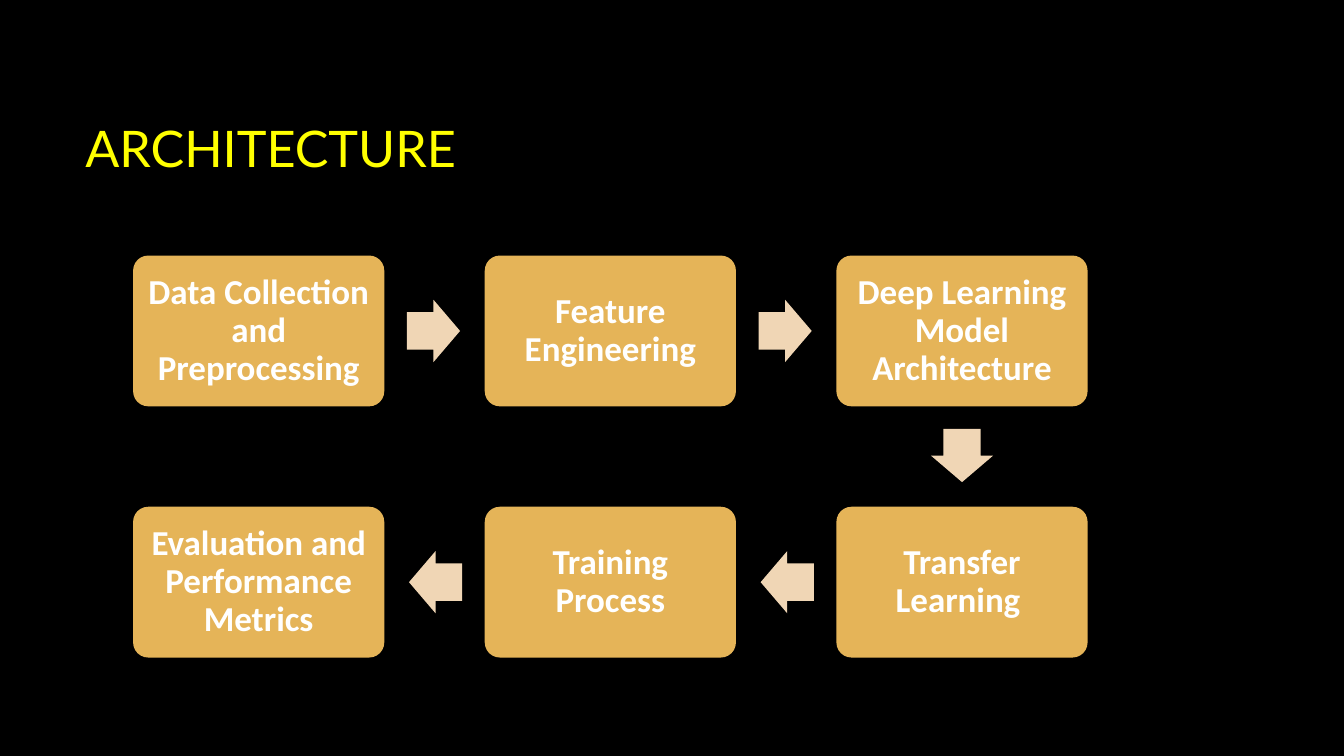
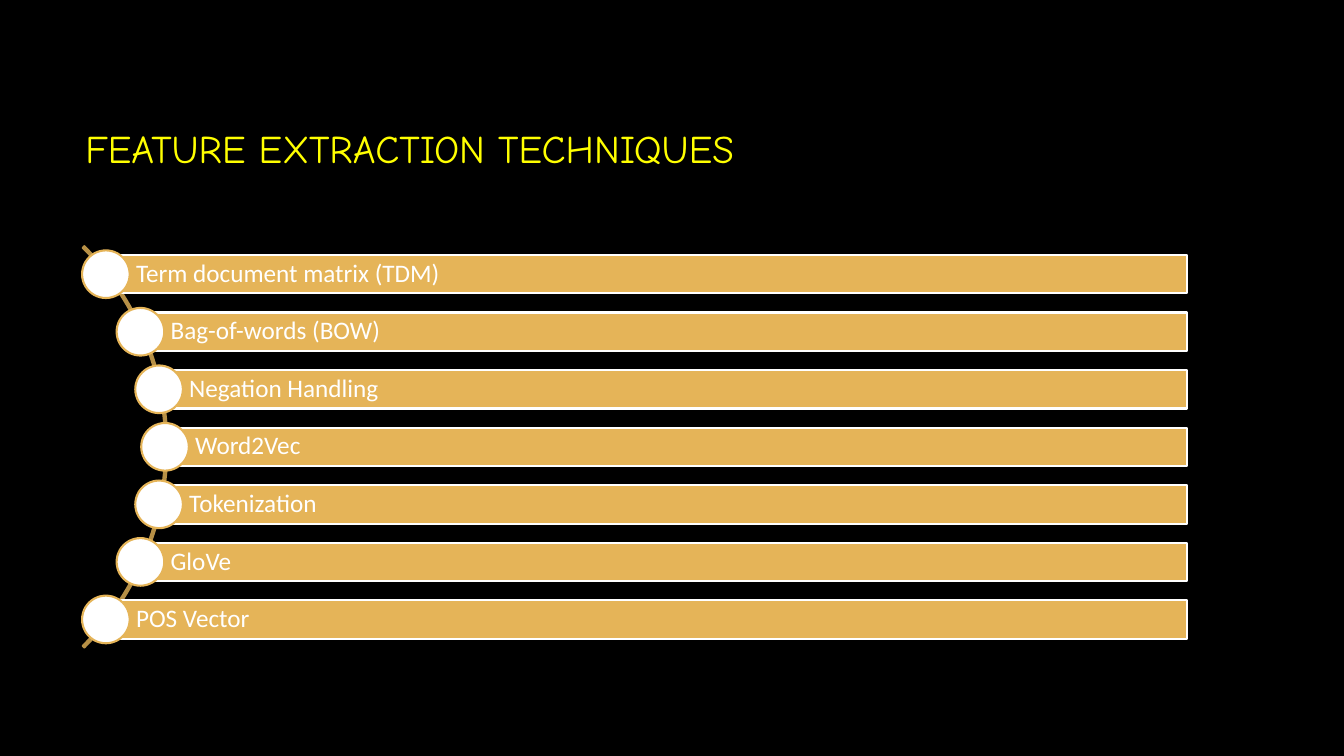
from math import sqrt

from pptx import Presentation
from pptx.dml.color import RGBColor
from pptx.enum.shapes import MSO_SHAPE
from pptx.enum.text import MSO_ANCHOR, PP_ALIGN
from pptx.util import Cm, Pt

BLACK = RGBColor(0x00, 0x00, 0x00)
WHITE = RGBColor(0xFF, 0xFF, 0xFF)
YELLOW = RGBColor(0xFF, 0xFF, 0x00)
GOLD = RGBColor(0xE5, 0xB4, 0x58)
DARK_GOLD = RGBColor(0xB7, 0x90, 0x46)
SAND = RGBColor(0xF0, 0xD6, 0xB5)

RECT = MSO_SHAPE.RECTANGLE
ROUND_RECT = MSO_SHAPE.ROUNDED_RECTANGLE
ARROW = MSO_SHAPE.RIGHT_ARROW
OVAL = MSO_SHAPE.OVAL
ARC = MSO_SHAPE.BLOCK_ARC
LEFT = PP_ALIGN.LEFT
CENTER = PP_ALIGN.CENTER
MIDDLE = MSO_ANCHOR.MIDDLE

STEPS = [
    ("Data Collection and Preprocessing", 0, 0),
    ("Feature Engineering", 1, 0),
    ("Deep Learning Model Architecture", 2, 0),
    ("Transfer Learning ", 2, 1),
    ("Training Process", 1, 1),
    ("Evaluation and Performance Metrics", 0, 1),
]
TECHNIQUES = [
    "Term document matrix (TDM)",
    "Bag-of-words (BOW)",
    "Negation Handling",
    "Word2Vec",
    "Tokenization",
    "GloVe",
    "POS Vector",
]


def write(s, text, font="Calibri", size=18, color=WHITE, bold=False,
          align=LEFT, spacing=0.9, insets=(0.25, 0.13, 0.25, 0.13)):
    tf = s.text_frame
    tf.word_wrap = True
    tf.vertical_anchor = MIDDLE
    tf.margin_left, tf.margin_top, tf.margin_right, tf.margin_bottom = map(Cm, insets)
    p = tf.paragraphs[0]
    p.alignment = align
    p.line_spacing = spacing
    r = p.add_run()
    r.text = text
    r.font.name = font
    r.font.size = Pt(size)
    r.font.bold = bold
    r.font.color.rgb = color


class Deck:
    def __init__(self):
        self.prs = Presentation()
        self.prs.slide_width = Cm(33.87)
        self.prs.slide_height = Cm(19.05)
        self.slide = None

    def new_slide(self, title, font, size):
        self.slide = self.prs.slides.add_slide(self.prs.slide_layouts[6])
        fill = self.slide.background.fill
        fill.solid()
        fill.fore_color.rgb = BLACK
        s = self.slide.shapes.add_textbox(Cm(1.9), Cm(1.7), Cm(28.14), Cm(4.04))
        write(s, title, font=font, size=size, color=YELLOW, spacing=1.0)

    def shape(self, kind, cx, cy, width, height, fill=None, line=None, adjust=()):
        s = self.slide.shapes.add_shape(
            kind, Cm(cx - width / 2), Cm(cy - height / 2), Cm(width), Cm(height))
        s.shadow.inherit = False
        for i, value in enumerate(adjust):
            s.adjustments[i] = value
        if fill is None:
            s.fill.background()
        else:
            s.fill.solid()
            s.fill.fore_color.rgb = fill
        if line is None:
            s.line.fill.background()
        else:
            s.line.color.rgb = line
            s.line.width = Pt(1.5)
        return s

    def step(self, text, cx, cy, width, height):
        s = self.shape(ROUND_RECT, cx, cy, width, height, GOLD, adjust=(0.1,))
        write(s, text, size=25, bold=True, align=CENTER,
              insets=(0.25, 0.25, 0.25, 0.25))

    def arrow(self, cx, cy, rotation):
        s = self.shape(ARROW, cx, cy, 1.34, 1.57, SAND, adjust=(0.6, 0.5))
        s.rotation = rotation

    def bar(self, text, left, right, cy):
        s = self.shape(RECT, (left + right) / 2, cy, right - left, 0.97, GOLD, WHITE)
        write(s, text, insets=(0.76, 0.13, 0.13, 0.13))
        self.shape(OVAL, left, cy, 1.2, 1.2, WHITE, GOLD)


def architecture(deck):
    deck.new_slide("ARCHITECTURE", "Lato", 36)
    width, height = 6.33, 3.8
    reach = 1.24
    rotations = {(1, 0): 0, (0, 1): 90, (-1, 0): 180}
    for i, (text, col, row) in enumerate(STEPS):
        cx = 6.52 + col * 1.4 * width
        cy = 8.34 + row * width
        deck.step(text, cx, cy, width, height)
        if i + 1 < len(STEPS):
            _, next_col, next_row = STEPS[i + 1]
            dx, dy = next_col - col, next_row - row
            deck.arrow(cx + dx * (width / 2 + reach),
                       cy + dy * (height / 2 + reach), rotations[dx, dy])


def feature_extraction(deck):
    deck.new_slide("FEATURE EXTRACTION TECHNIQUES", "Comic Neue", 28)
    arc_x, arc_y, diameter = -2.93, 11.26, 14.3
    radius, pitch = 7.09, 1.45
    deck.shape(ARC, arc_x, arc_y, diameter, diameter,
               line=DARK_GOLD, adjust=(189, 27, 0.004))
    for i, text in enumerate(TECHNIQUES):
        dy = (i - (len(TECHNIQUES) - 1) / 2) * pitch
        left = arc_x + sqrt(radius ** 2 - dy ** 2)
        deck.bar(text, left, 29.91, arc_y + dy)


def main():
    deck = Deck()
    architecture(deck)
    feature_extraction(deck)
    deck.prs.save("out.pptx")


if __name__ == "__main__":
    main()
